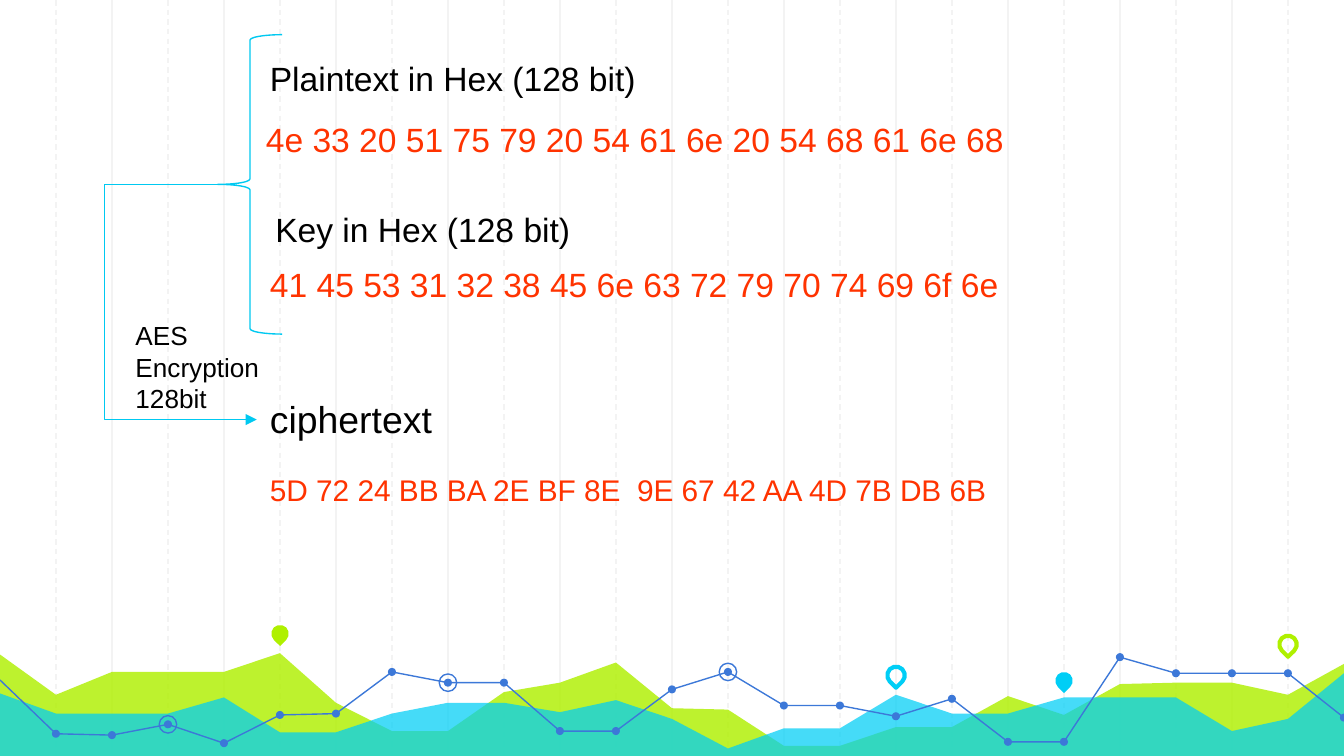
"""Build the AES encryption slide over a charted landscape."""
from lxml import etree
from pptx import Presentation
from pptx.dml.color import RGBColor
from pptx.enum.dml import MSO_LINE
from pptx.enum.shapes import MSO_CONNECTOR, MSO_SHAPE
from pptx.oxml.ns import qn
from pptx.util import Inches, Pt

DASH = MSO_LINE.DASH
STRAIGHT, ELBOW = MSO_CONNECTOR.STRAIGHT, MSO_CONNECTOR.ELBOW
OVAL, TEAR, LEFT_BRACE = MSO_SHAPE.OVAL, MSO_SHAPE.TEAR, MSO_SHAPE.LEFT_BRACE

BLACK = RGBColor(0x00, 0x00, 0x00)
RED = RGBColor(0xFF, 0x33, 0x00)
PALE = RGBColor(0xF3, 0xF3, 0xF3)
LIME = RGBColor(0xAF, 0xF0, 0x00)
CYAN = RGBColor(0x00, 0xCE, 0xF6)
BRACE_CYAN = RGBColor(0x00, 0xC9, 0xF1)
BLUE = RGBColor(0x3C, 0x78, 0xD8)

COLUMNS = 24
LIME_HILLS = [22, 52, 35, 35, 35, 21, 58, 79, 79, 50, 43, 28, 62,
              63, 90, 90, 76, 76, 53, 67, 44, 43, 43, 52, 29]
CYAN_HILLS = [51, 66, 66, 66, 54, 80, 80, 66, 58, 58, 65, 56, 70,
              92, 77, 77, 52, 66, 66, 54, 54, 54, 79, 70, 36]
TREND = [41, 81, 82, 74, 88, 67, 66, 35, 43, 43, 79, 79, 48,
         35, 60, 60, 68, 55, 87, 87, 24, 36, 36, 36, 69]
RINGED = [3, 8, 13]
PINS = [(5, 6.5, LIME, True), (16, 37.5, CYAN, False),
        (19, 41.5, CYAN, True), (23, 14.5, LIME, False)]
LABELS = [
    ("5D 72 24 BB BA 2E BF 8E  9E 67 42 AA 4D 7B DB 6B", (19.1, 61.5, 57, 6.6), 16, RED),
    ("Key in Hex (128 bit)", (19.5, 26.8, 24.5, 7.1), 18, BLACK),
    ("41 45 53 31 32 38 45 6e 63 72 79 70 74 69 6f 6e", (19.1, 34, 63.5, 7.1), 18, RED),
    ("Plaintext in Hex (128 bit)", (19.1, 6.8, 29.7, 7.1), 18, BLACK),
    ("4e 33 20 51 75 79 20 54 61 6e 20 54 68 61 6e 68", (18.8, 14.8, 63.5, 7.1), 18, RED),
    ("ciphertext", (19.1, 51.6, 48.2, 7.8), 20, BLACK),
    ("AES Encryption 128bit", (9.1, 41.4, 12, 14.4), 14, BLACK),
]


def within(box, x, y):
    """Turn percentages of a box into a point on the slide."""
    left, top, width, height = box
    return int(left + width * x / 100), int(top + height * y / 100)


def column_point(box, column, depth):
    """Return the point at a grid column and a percentage of depth."""
    return within(box, 100 * column / COLUMNS, depth)


def part(box, left, top, width, height):
    """Return the box that covers the given percentages of another box."""
    return (*within(box, left, top), *within((0, 0, *box[2:]), width, height))


def paint(shape, fill=None, line=None, weight=0.75, opacity=None):
    """Set the fill, outline and opacity of a shape."""
    shape.shadow.inherit = False
    if fill is None:
        shape.fill.background()
    else:
        shape.fill.solid()
        shape.fill.fore_color.rgb = fill
    if opacity is not None:
        color = shape.element.spPr.find(f"{qn('a:solidFill')}/{qn('a:srgbClr')}")
        etree.SubElement(color, qn("a:alpha")).set("val", str(opacity * 1000))
    if line is None:
        shape.line.fill.background()
    else:
        shape.line.color.rgb = line
        shape.line.width = Pt(weight)


def add_line(slide, kind, start, end, color):
    """Add a thin connector between two points."""
    connector = slide.shapes.add_connector(kind, *start, *end)
    connector.line.color.rgb = color
    connector.line.width = Pt(0.75)
    etree.SubElement(connector.element.spPr, qn("a:effectLst"))
    return connector


def add_outline(slide, points, close, **look):
    """Add a freeform through the given points."""
    builder = slide.shapes.build_freeform(*points[0])
    builder.add_line_segments(points[1:], close=close)
    paint(builder.convert_to_shape(), **look)


def add_marker(slide, kind, center, size, **look):
    """Add a small shape centred on a point."""
    x, y = center
    marker = slide.shapes.add_shape(kind, x - size // 2, y - size // 2, size, size)
    paint(marker, **look)
    return marker


def add_text(slide, text, box, size, color, font="Arial"):
    """Add a wrapped text box with one format."""
    frame = slide.shapes.add_textbox(*box).text_frame
    frame.word_wrap = True
    run = frame.paragraphs[0].add_run()
    run.text = text
    run.font.name = font
    run.font.size = Pt(size)
    run.font.color.rgb = color


def draw_grid(slide, box):
    """Draw the vertical guides, dashed on odd columns."""
    for column in [*range(2, COLUMNS, 2), *range(1, COLUMNS, 2)]:
        guide = add_line(slide, STRAIGHT, column_point(box, column, 0),
                         column_point(box, column, 100), PALE)
        if column % 2:
            guide.line.dash_style = DASH


def draw_landscape(slide, box):
    """Draw the hills, trend line, dots, rings and pins."""
    base = [column_point(box, COLUMNS, 100), column_point(box, 0, 100)]
    for hills, color, opacity in ((LIME_HILLS, LIME, 82), (CYAN_HILLS, CYAN, 73)):
        ridge = [column_point(box, column, depth) for column, depth in enumerate(hills)]
        add_outline(slide, ridge + base, True, fill=color, opacity=opacity)
    trend = [column_point(box, column, depth) for column, depth in enumerate(TREND)]
    add_outline(slide, trend, False, line=BLUE)
    for point in trend[1:]:
        add_marker(slide, OVAL, point, Inches(0.06), fill=BLUE)
    for column in RINGED:
        add_marker(slide, OVAL, trend[column], Inches(0.13), line=BLUE)
    for column, depth, color, solid in PINS:
        look = {"fill": color} if solid else {"line": color, "weight": 2.25}
        pin = add_marker(slide, TEAR, column_point(box, column, depth), Inches(0.13), **look)
        pin.rotation = 135


def draw_encryption(slide, box):
    """Draw the labels, the brace and the arrow to the ciphertext."""
    for text, place, size, color in LABELS:
        add_text(slide, text, part(box, *place), size, color)
    brace = slide.shapes.add_shape(LEFT_BRACE, *part(box, 16.2, 4.6, 4.8, 39.6))
    paint(brace, line=BRACE_CYAN)
    arrow = add_line(slide, ELBOW, within(box, 16.2, 24.4), within(box, 19.1, 55.5), BRACE_CYAN)
    bend = etree.SubElement(arrow.element.spPr.find(f"{qn('a:prstGeom')}/{qn('a:avLst')}"),
                            qn("a:gd"))
    bend.set("name", "adj1")
    bend.set("fmla", "val -290000")
    head = etree.SubElement(arrow.element.spPr.find(qn("a:ln")), qn("a:tailEnd"))
    head.set("type", "triangle")


def main():
    """Build and save the presentation."""
    deck = Presentation()
    deck.slide_width, deck.slide_height = Inches(10), Inches(10 * 9 / 16)
    slide = deck.slides.add_slide(deck.slide_layouts[6])
    page = (0, 0, deck.slide_width, deck.slide_height)
    draw_grid(slide, page)
    draw_landscape(slide, (0, Inches(4.65), deck.slide_width, Inches(1)))
    draw_encryption(slide, page)
    deck.save("out.pptx")


main()
